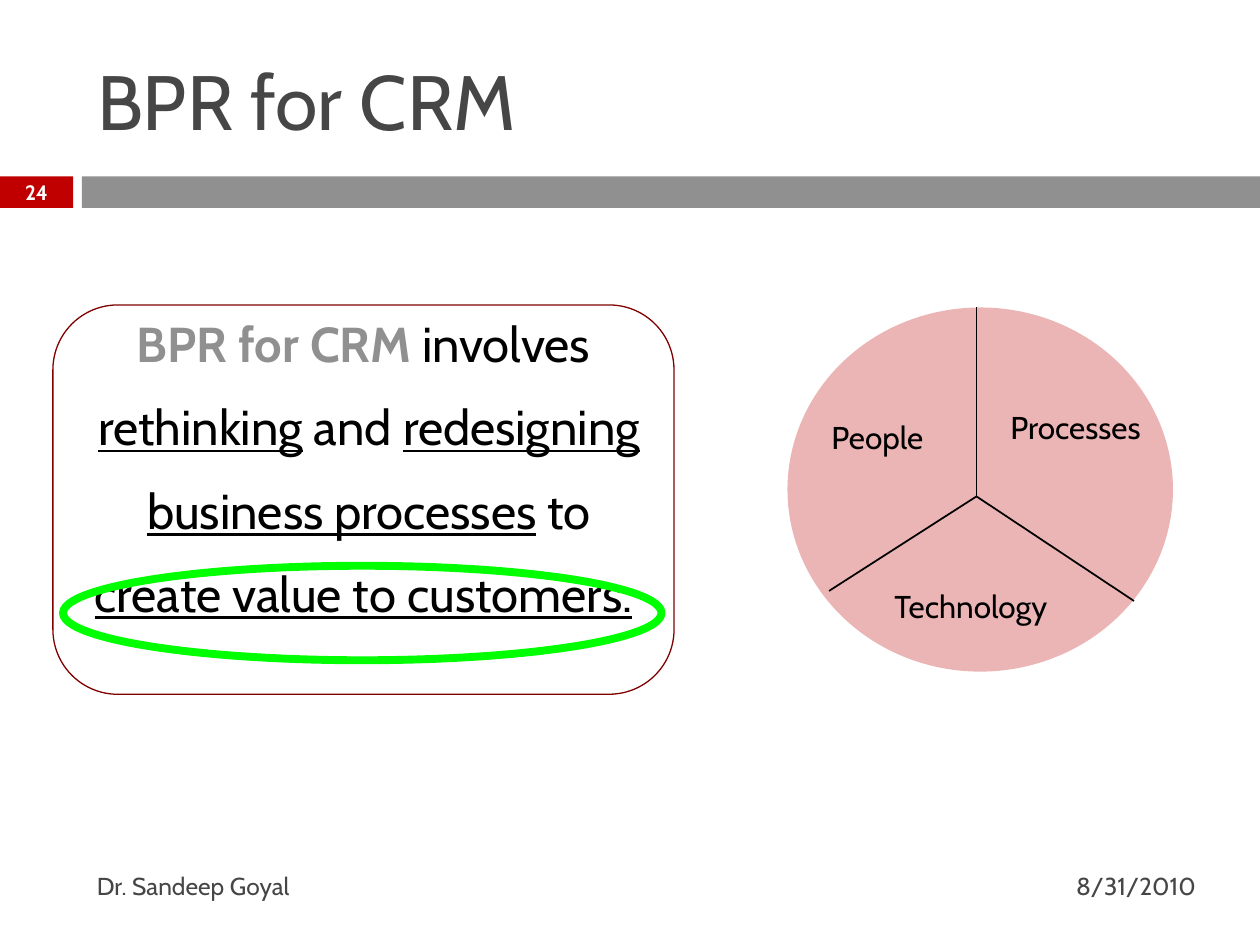
from pptx import Presentation
from pptx.dml.color import RGBColor
from pptx.enum.shapes import MSO_CONNECTOR, MSO_SHAPE as SHAPE
from pptx.enum.text import MSO_ANCHOR as ANCHOR, PP_ALIGN as ALIGN
from pptx.oxml.ns import qn
from pptx.util import Inches, Pt
from lxml import etree


def rgb(value):
    return RGBColor.from_string(value)


def add_run(p, text, size, color="000000", **fmt):
    r = p.add_run()
    r.text = text
    r.font.color.rgb = rgb(color)
    for name, value in {"name": "Cabin", "size": Pt(size), **fmt}.items():
        setattr(r.font, name, value)


prs = Presentation()
prs.slide_width, prs.slide_height = Inches(10), Inches(7.5)
s = prs.slides.add_slide(prs.slide_layouts[5])

shapes = [
    (SHAPE.RECTANGLE, (0, 1.4, 0.58, 0.25), "C00000", None, 0),
    (SHAPE.RECTANGLE, (0.65, 1.4, 9.35, 0.25), "909090", None, 0),
    (SHAPE.FLOWCHART_ALTERNATE_PROCESS, (0.42, 2.42, 4.93, 3.09), None, "800000", 0.75),
    (SHAPE.OVAL, (0.5, 4.49, 4.75, 0.75), None, "00FF00", 4.5),
    (SHAPE.OVAL, (6.25, 2.44, 3.06, 2.89), "C00000", None, 0),
]
drawn = []
for kind, box, fill, line, width in shapes:
    sp = s.shapes.add_shape(kind, *map(Inches, box))
    sp.shadow.inherit = False
    if fill:
        sp.fill.solid()
        sp.fill.fore_color.rgb = rgb(fill)
    else:
        sp.fill.background()
    if line:
        sp.line.color.rgb = rgb(line)
        sp.line.width = Pt(width)
    else:
        sp.line.fill.background()
    drawn.append(sp)

statement, circle = drawn[2], drawn[4]
color = circle.fill._xPr.find(qn("a:solidFill"))[0]
etree.SubElement(color, qn("a:alpha")).set("val", "29000")

lines = [
    [("BPR for CRM ", {"color": "909090", "bold": True}), ("involves", {})],
    [(" ", {}), ("rethinking", {"underline": True}), (" and ", {}),
     ("redesigning", {"underline": True})],
    [(" ", {}), ("business processes", {"underline": True}), (" to", {})],
    [("create value to customers.", {"underline": True})],
]
tf = statement.text_frame
tf.word_wrap = False
tf.vertical_anchor = ANCHOR.MIDDLE
tf.margin_top, tf.margin_bottom = Inches(0.05), Inches(0.55)
for i, runs in enumerate(lines):
    p = tf.add_paragraph() if i else tf.paragraphs[0]
    p.alignment = ALIGN.CENTER
    p.space_before = Pt(14)
    for text, fmt in runs:
        add_run(p, text, 28, **fmt)

for x, y in [(7.75, 2.44), (6.58, 4.69), (9, 4.77)]:
    c = s.shapes.add_connector(MSO_CONNECTOR.STRAIGHT, Inches(7.75), Inches(3.94), Inches(x), Inches(y))
    c.line.color.rgb = rgb("000000")
    c.line.width = Pt(1)
    etree.SubElement(c._element.spPr, qn("a:effectLst"))

title = s.shapes.title
title.left, title.top, title.width, title.height = map(Inches, (0.67, 0.25, 8.92, 1.08))
title.text_frame.vertical_anchor = ANCHOR.MIDDLE
p = title.text_frame.paragraphs[0]
p.alignment = ALIGN.LEFT
add_run(p, "BPR for CRM", 44, "464646")

texts = [
    ("8/31/2010", (6.67, 6.83, 2.92, 0.4), ALIGN.RIGHT, 14, "464646", False),
    ("Dr. Sandeep Goyal", (0.67, 6.83, 5.93, 0.4), ALIGN.LEFT, 14, "464646", False),
    ("24", (0, 1.39, 0.58, 0.27), ALIGN.CENTER, 11.9, "FFFFFF", True),
    ("People", (6.5, 3.27, 1.19, 0.4), ALIGN.LEFT, 18, "000000", False),
    ("Processes", (7.92, 3.19, 1.75, 0.4), ALIGN.LEFT, 18, "000000", False),
    ("Technology", (7, 4.61, 1.92, 0.4), ALIGN.LEFT, 18, "000000", False),
]
for text, box, align, size, color, bold in texts:
    tf = s.shapes.add_textbox(*map(Inches, box)).text_frame
    tf.word_wrap = True
    tf.vertical_anchor = ANCHOR.MIDDLE
    p = tf.paragraphs[0]
    p.alignment = align
    add_run(p, text, size, color, bold=bold)

prs.save("out.pptx")
